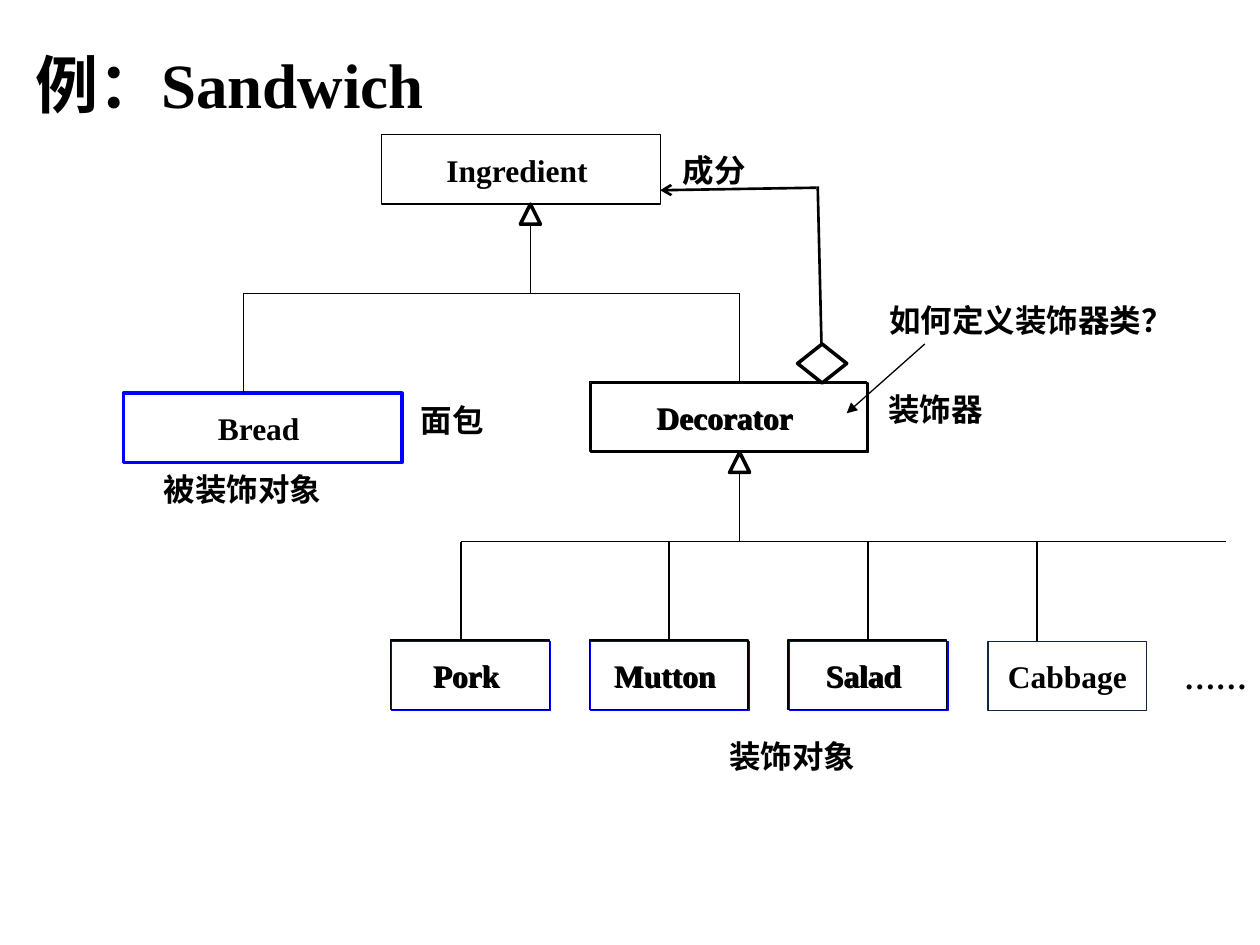
import pptx
import pptx.util
import pptx.dml.color
import pptx.enum.shapes
import pptx.enum.text
import pptx.oxml.ns
from lxml import etree

Inches, Pt = pptx.util.Inches, pptx.util.Pt
SHAPE = pptx.enum.shapes.MSO_SHAPE
ANCHOR = pptx.enum.text.MSO_ANCHOR
ALIGN = pptx.enum.text.PP_ALIGN

THEME = {
    "black": "000000", "blue": "0000FF", "navy": "10253F",
    "latin": "Times New Roman", "sans": "Arial",
    "title": 36, "body": 18,
    "thin": 0.75, "medium": 1.5, "thick": 2,
}

TITLE = ("例：Sandwich", (0.18, 0.31, 3.53, 0.7))

# text, left, top, width, line colour, line width
BOX_H = 0.55
CLASSES = [
    ("Ingredient ", 3.03, 1.07, 2.21, "black", "thin"),
    ("Bread ", 0.98, 3.12, 2.21, "blue", "thick"),
    ("Decorator ", 4.69, 3.04, 2.2, "black", "thin"),
]
TOPPINGS = [("Pork ", "blue"), ("Mutton ", "blue"), ("Salad ", "blue"), ("Cabbage", "navy")]
TOPPING_LEFT, TOPPING_TOP, TOPPING_W, TOPPING_PITCH = 3.11, 5.09, 1.26, 1.577
DOUBLED = ("Decorator ", "Pork ", "Mutton ", "Salad ")  # second frame, slightly offset
OFFSET = 0.01

# parent x, parent bottom, bar y, bar end, (child x, child top) pairs
TREES = [
    (4.21, 1.62, 2.33, 5.87, [(1.93, 3.12), (5.87, 3.04)]),
    (5.87, 3.59, 4.3, 9.73, [(x, TOPPING_TOP) for x in (3.66, 5.31, 6.89, 8.23)]),
]
HEAD = 0.16

# text, left, top, width, wraps, font, anchor
LABELS = [
    ("……", 9.3, 5.17, 0.7, False, "latin", ANCHOR.TOP),
    ("成分", 5.32, 1.15, 0.75, False, "latin", ANCHOR.MIDDLE),
    ("面包", 3.24, 3.13, 0.73, True, "latin", ANCHOR.TOP),
    ("装饰器", 6.95, 3.05, 1.36, True, "latin", ANCHOR.TOP),
    ("被装饰对象", 1.2, 3.68, 1.45, False, "latin", ANCHOR.TOP),
    ("装饰对象", 5.69, 5.8, 1.91, True, "latin", ANCHOR.TOP),
    ("如何定义装饰器类？", 6.96, 2.34, 2.45, False, "sans", ANCHOR.TOP),
]
LABEL_H = 0.4

# start, end, line width, arrowhead
LINKS = [
    ((7.34, 2.73), (6.72, 3.28), "thin", "triangle"),
    ((6.52, 2.73), (6.49, 1.48), "medium", None),
    ((6.48, 1.49), (5.24, 1.51), "medium", "arrow"),
]
DIAMOND = (6.33, 2.73, 0.39, 0.31)


def rgb(name):
    return pptx.dml.color.RGBColor.from_string(THEME[name])


def write(s, text, size="body", font="latin", align=ALIGN.LEFT, **frame):
    tf = s.text_frame
    for key, value in frame.items():
        setattr(tf, key, value)
    p = tf.paragraphs[0]
    p.alignment = align
    r = p.add_run()
    r.text = text
    for key, value in {"size": Pt(THEME[size]), "name": THEME[font], "bold": True}.items():
        setattr(r.font, key, value)
    r.font.color.rgb = rgb("black")


def add_outline(sp, kind, at, color="black", width="thick"):
    s = sp.add_shape(kind, *map(Inches, at))
    s.shadow.inherit = False
    s.fill.background()
    s.line.color.rgb = rgb(color)
    s.line.width = Pt(THEME[width])
    return s


def add_class(sp, text, left, top, width, color, weight):
    s = add_outline(sp, SHAPE.RECTANGLE, (left, top, width, BOX_H), color, weight)
    write(s, text, align=ALIGN.CENTER, word_wrap=False, vertical_anchor=ANCHOR.MIDDLE)


def add_line(sp, start, end, width="thin", head=None):
    c = sp.add_connector(pptx.enum.shapes.MSO_CONNECTOR.STRAIGHT, *map(Inches, start + end))
    c.line.color.rgb = rgb("black")
    c.line.width = Pt(THEME[width])
    qn = pptx.oxml.ns.qn
    if head:
        etree.SubElement(c.line._get_or_add_ln(), qn("a:tailEnd"), type=head)
    etree.SubElement(c._element.spPr, qn("a:effectLst"))


def add_tree(sp, x, top, bar_y, bar_end, children):
    """Inheritance arrow from a shared bar up to the parent class."""
    add_outline(sp, SHAPE.ISOSCELES_TRIANGLE, (x - HEAD / 2, top, HEAD, HEAD))
    add_line(sp, (x, top + HEAD), (x, bar_y))
    add_line(sp, (children[0][0], bar_y), (bar_end, bar_y))
    for child_x, child_top in children:
        add_line(sp, (child_x, bar_y), (child_x, child_top))


def main():
    prs = pptx.Presentation()
    prs.slide_width, prs.slide_height = Inches(10), Inches(7.5)
    slide = prs.slides.add_slide(prs.slide_layouts[5])
    sp = slide.shapes

    text, at = TITLE
    title = sp.title
    for key, value in zip(("left", "top", "width", "height"), at):
        setattr(title, key, Inches(value))
    write(title, text, "title", word_wrap=False, vertical_anchor=ANCHOR.TOP,
          auto_size=pptx.enum.text.MSO_AUTO_SIZE.NONE)

    boxes = CLASSES + [
        (name, TOPPING_LEFT + i * TOPPING_PITCH, TOPPING_TOP, TOPPING_W, color, "thin")
        for i, (name, color) in enumerate(TOPPINGS)
    ]
    for box in boxes:
        add_class(sp, *box)
    for tree in TREES:
        add_tree(sp, *tree)
    for text, left, top, width, wraps, font, anchor in LABELS:
        s = sp.add_textbox(*map(Inches, (left, top, width, LABEL_H)))
        write(s, text, font=font, word_wrap=wraps, vertical_anchor=anchor)
    for name, left, top, width, _, weight in boxes:
        if name in DOUBLED:
            add_class(sp, name, left - OFFSET, top - OFFSET, width, "black", weight)
    add_outline(sp, SHAPE.DIAMOND, DIAMOND)
    for link in LINKS:
        add_line(sp, *link)

    prs.save("out.pptx")


if __name__ == "__main__":
    main()
